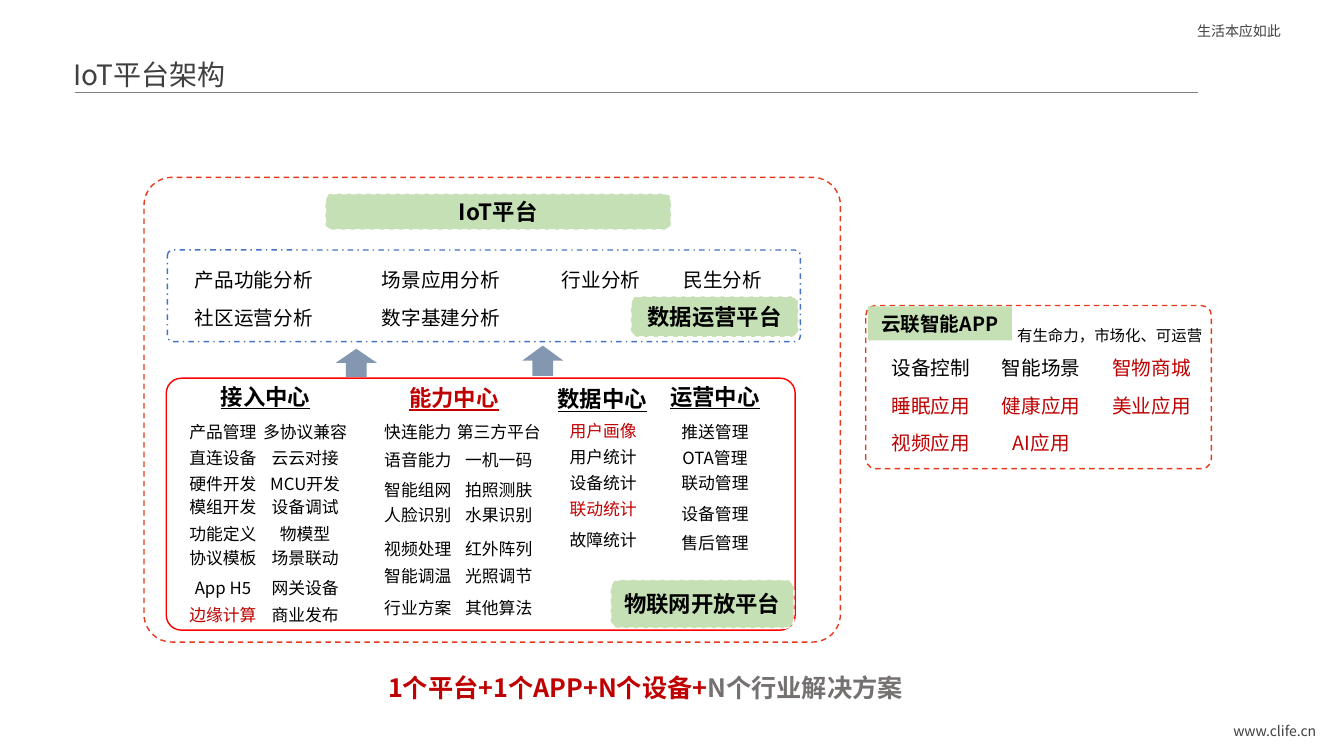
from lxml.etree import SubElement
from pptx import Presentation
from pptx.dml.color import RGBColor
from pptx.enum.dml import MSO_LINE as Dash
from pptx.enum.shapes import MSO_CONNECTOR as Connector, MSO_SHAPE as Preset
from pptx.enum.text import MSO_ANCHOR as Anchor, MSO_AUTO_SIZE as AutoSize, PP_ALIGN as Align
from pptx.oxml.ns import qn
from pptx.util import Cm, Pt

FONT = "Noto Sans CJK SC"
BLACK, RED, DARK = "000000", "C00000", "404040"
GREEN, WHITE, ORANGE, SLATE = "C5E0B4", "FFFFFF", "E73A1C", "8497B0"
color = RGBColor.from_string

deck = Presentation()
deck.slide_width, deck.slide_height = Cm(33.87), Cm(19.05)
slide = deck.slides.add_slide(deck.slide_layouts[5])


def write(holder, runs, size, bold=False, underline=False, align=Align.CENTER, inset=0):
    """Fill a shape with one vertically centred line made of (text, colour) runs."""
    frame = holder.text_frame
    frame.word_wrap = True
    frame.auto_size = AutoSize.NONE
    frame.vertical_anchor = Anchor.MIDDLE
    frame.margin_left = frame.margin_right = Cm(inset)
    frame.margin_top = frame.margin_bottom = 0
    line = frame.paragraphs[0]
    line.alignment = align
    for text, tint in runs:
        run = line.add_run()
        run.text = text
        run.font.size = Pt(size)
        run.font.bold = bold
        run.font.underline = underline
        run.font.color.rgb = color(tint)
        run.font.name = FONT
        SubElement(run.font._element, qn("a:ea"), typeface=FONT)


def label(center, middle, text, size, tint=BLACK, width=3.2, **style):
    """Add a text box around a centre point given in centimetres."""
    box = slide.shapes.add_textbox(Cm(center - width / 2), Cm(middle - 0.45), Cm(width), Cm(0.9))
    write(box, [(text, tint)], size, **style)


# Page header and footer
title = slide.shapes.title
title.left, title.top, title.width, title.height = Cm(1.6), Cm(0.94), Cm(18.11), Cm(1.85)
write(title, [("IoT平台架构", DARK)], 20, align=Align.LEFT, inset=0.25)
rule = slide.shapes.add_connector(Connector.STRAIGHT, Cm(1.88), Cm(2.32), Cm(30.2), Cm(2.32))
rule.line.color.rgb = color("808080")
rule.line.width = Pt(0.5)
SubElement(rule._element.spPr, qn("a:effectLst"))
label(31.67, 0.77, "生活本应如此", 10, DARK, 3.5, align=Align.LEFT, inset=0.25)
label(31.67, 18.43, "www.clife.cn", 10, DARK, 3.5, align=Align.RIGHT, inset=0.25)

# Panels, arrows and green name plates:
# preset, left, top, width, height, corner, fill, line, dash, name, size
DASH, DASH_DOT = Dash.DASH, Dash.DASH_DOT
ROUND, ARROW = Preset.ROUNDED_RECTANGLE, Preset.UP_ARROW
blocks = [
    (ROUND, 3.63, 4.47, 17.55, 11.71, 0.06, None, ORANGE, DASH, None, 0),
    (ROUND, 8.2, 4.88, 8.71, 0.91, 0.17, GREEN, WHITE, DASH, "IoT平台", 16),
    (ROUND, 4.19, 9.53, 15.85, 6.35, 0.06, None, "FF0000", None, None, 0),
    (ARROW, 8.46, 8.79, 1.04, 0.71, None, SLATE, None, None, None, 0),
    (ARROW, 13.16, 8.71, 1.04, 0.76, None, SLATE, None, None, None, 0),
    (ROUND, 21.82, 7.7, 8.71, 4.11, 0.06, None, ORANGE, DASH, None, 0),
    (Preset.RECTANGLE, 21.87, 7.72, 3.63, 0.86, None, GREEN, None, None, "云联智能APP", 14),
    (ROUND, 15.39, 14.61, 4.62, 1.22, 0.17, GREEN, WHITE, DASH, "物联网开放平台", 16),
    (ROUND, 4.22, 6.3, 15.95, 2.31, 0.06, WHITE, "4472C4", DASH_DOT, None, 0),
    (ROUND, 15.9, 7.47, 4.22, 1.02, 0.17, GREEN, WHITE, DASH, "数据运营平台", 16),
]
for preset, left, top, width, height, corner, fill, edge, dash, name, size in blocks:
    block = slide.shapes.add_shape(preset, Cm(left), Cm(top), Cm(width), Cm(height))
    block.shadow.inherit = False
    if corner:
        block.adjustments[0] = corner
    if fill:
        block.fill.solid()
        block.fill.fore_color.rgb = color(fill)
    else:
        block.fill.background()
    if edge:
        block.line.color.rgb = color(edge)
        block.line.width = Pt(1)
        if dash:
            block.line.dash_style = dash
    else:
        block.line.fill.background()
    if name:
        write(block, [(name, BLACK)], size, bold=True)

# Data operation platform
for center, *analyses in [
    (6.4, "产品功能分析", "社区运营分析"),
    (11.11, "场景应用分析", "数字基建分析"),
    (15.15, "行业分析"),
    (18.22, "民生分析"),
]:
    for row, analysis in enumerate(analyses):
        label(center, 7.06 + 0.94 * row, analysis, 14)

# Open platform: four centres and their functions
for center, middle, heading, tint in [
    (6.69, 9.99, "接入中心", BLACK),
    (11.44, 10.02, "能力中心", RED),
    (15.18, 10.05, "数据中心", BLACK),
    (18.02, 9.99, "运营中心", BLACK),
]:
    label(center, middle, heading, 16, tint, bold=True, underline=True)

access_rows = [10.87, 11.53, 12.19, 12.78, 13.44, 14.05, 14.81, 15.49]
ability_rows = [10.87, 11.58, 12.34, 12.98, 13.82, 14.5, 15.32]
data_rows = [10.85, 11.51, 12.17, 12.83, 13.61]
operation_rows = [10.87, 11.53, 12.17, 12.95, 13.67]
highlights = {"边缘计算", "用户画像", "联动统计"}
for center, rows, functions in [
    (5.62, access_rows, ["产品管理", "直连设备", "硬件开发", "模组开发",
                         "功能定义", "协议模板", "App H5", "边缘计算"]),
    (7.69, access_rows, ["多协议兼容", "云云对接", "MCU开发", "设备调试",
                         "物模型", "场景联动", "网关设备", "商业发布"]),
    (10.53, ability_rows, ["快连能力", "语音能力", "智能组网", "人脸识别",
                           "视频处理", "智能调温", "行业方案"]),
    (12.57, ability_rows, ["第三方平台", "一机一码", "拍照测肤", "水果识别",
                           "红外阵列", "光照调节", "其他算法"]),
    (15.2, data_rows, ["用户画像", "用户统计", "设备统计", "联动统计", "故障统计"]),
    (18.02, operation_rows, ["推送管理", "OTA管理", "联动管理", "设备管理", "售后管理"]),
]:
    for middle, function in zip(rows, functions):
        label(center, middle, function, 12, RED if function in highlights else BLACK)

# App panel
label(27.97, 8.46, "有生命力，市场化、可运营", 11, width=5.28)
apps = ["设备控制", "智能场景", "智物商城", "睡眠应用", "健康应用", "美业应用", "视频应用", "AI应用"]
for index, app in enumerate(apps):
    row, column = divmod(index, 3)
    label(23.46 + 2.78 * column, 9.27 + 0.94 * row, app, 14, BLACK if index < 2 else RED)

# Summary line
summary = slide.shapes.add_textbox(Cm(9.53), Cm(16.81), Cm(15.49), Cm(1.02))
write(summary, [("1个平台+1个APP+N个设备+", RED), ("N个行业解决方案", "767171")], 18,
      bold=True, align=Align.LEFT, inset=0.25)

deck.save("out.pptx")
